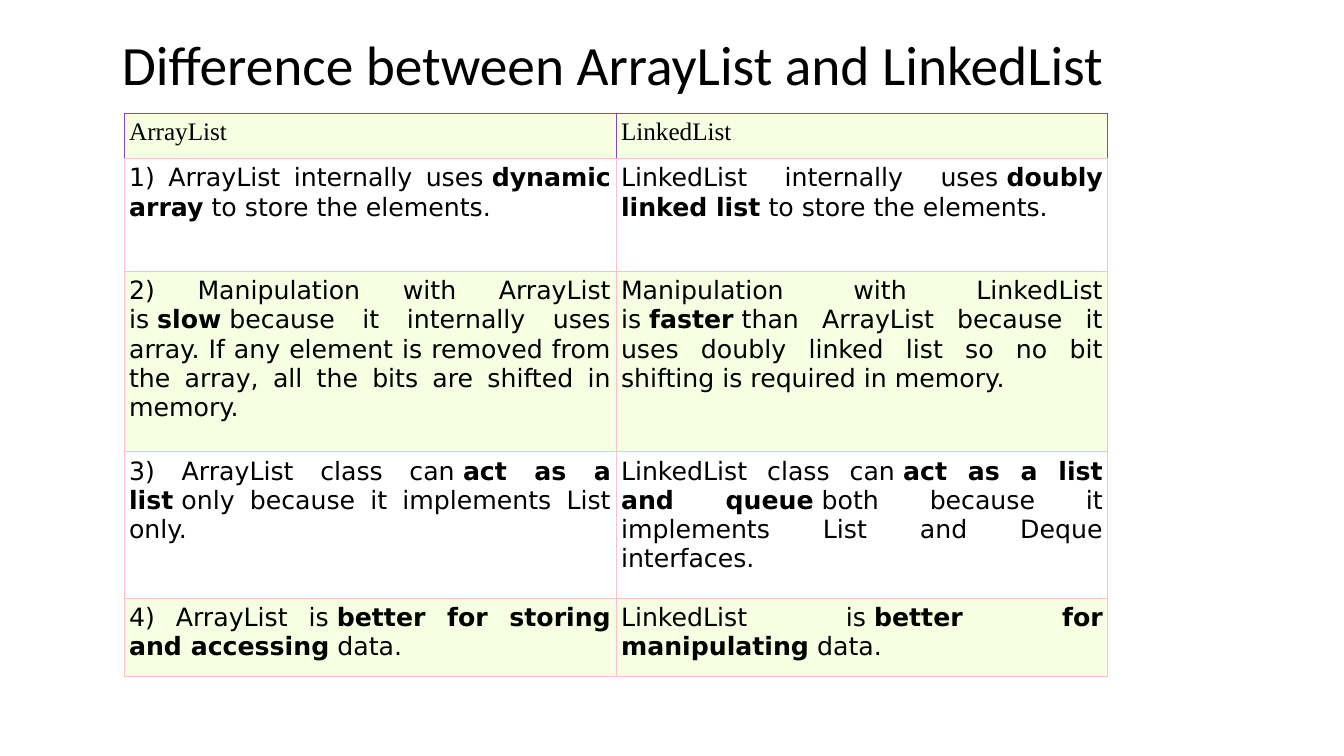
from lxml import etree
from pptx import Presentation
from pptx.dml import color
from pptx.enum import text
from pptx.oxml import ns
from pptx.util import Pt

BLACK, WHITE, GREEN = "000000", "FFFFFF", "F6FFE1"
PINK, PURPLE = "FFC0CB", "8847C5"
NBSP = chr(160)
COLUMN_WIDTH = 351.4
ROW_HEIGHTS = [32.4, 80.6, 128.9, 104.7, 56.2]
HEADINGS = ["ArrayList", "LinkedList"]
COMPARISONS = [
    [
        ("1) ArrayList internally uses", "dynamic array", "to store the elements."),
        ("LinkedList internally uses", "doubly linked list", "to store the elements."),
    ],
    [
        ("2) Manipulation with ArrayList is", "slow",
         "because it internally uses array. If any element is removed from "
         "the array, all the bits are shifted in memory."),
        ("Manipulation with LinkedList is", "faster",
         "than ArrayList because it uses doubly linked list so no bit "
         "shifting is required in memory."),
    ],
    [
        ("3) ArrayList class can", "act as a list",
         "only because it implements List only."),
        ("LinkedList class can", "act as a list and queue",
         "both because it implements List and Deque interfaces."),
    ],
    [
        ("4) ArrayList is", "better for storing and accessing", "data."),
        ("LinkedList is", "better for manipulating", "data."),
    ],
]


def rgb(value):
    return color.RGBColor.from_string(value)


def add_span(para, words, font="DejaVu Sans", size=18, bold=False):
    span = para.add_run()
    span.text = words
    span.font.name = font
    span.font.size = Pt(size)
    span.font.bold = bold
    span.font.color.rgb = rgb(BLACK)


def add_title(page, words):
    box = page.shapes.add_textbox(Pt(80), Pt(21.6), Pt(848), Pt(90))
    frame = box.text_frame
    frame.word_wrap = True
    frame.margin_top = 0
    frame.vertical_anchor = text.MSO_ANCHOR.TOP
    add_span(frame.paragraphs[0], words, font="Calibri", size=39.6)


def set_borders(cell, **sides):
    properties = cell._tc.get_or_add_tcPr()
    for position, side in enumerate("LRTB"):
        line = etree.Element(ns.qn(f"a:ln{side}"), w=str(Pt(0.75)))
        fill = etree.SubElement(line, ns.qn("a:solidFill"))
        etree.SubElement(fill, ns.qn("a:srgbClr"), val=sides.get(side, PINK))
        properties.insert(position, line)


def style_cell(cell, fill, **sides):
    cell.margin_left = cell.margin_right = Pt(3.6)
    cell.margin_top = cell.margin_bottom = Pt(3.6)
    cell.fill.solid()
    cell.fill.fore_color.rgb = rgb(fill)
    set_borders(cell, **sides)


def fill_heading(cell, words):
    style_cell(cell, GREEN, L=PURPLE, R=PURPLE, T=PURPLE)
    add_span(cell.text_frame.paragraphs[0], words, font="Times New Roman")


def fill_comparison(cell, parts, fill):
    style_cell(cell, fill)
    para = cell.text_frame.paragraphs[0]
    para.alignment = text.PP_ALIGN.JUSTIFY
    lead, strong, tail = parts
    add_span(para, lead + NBSP)
    add_span(para, strong, bold=True)
    add_span(para, NBSP + tail)


def add_comparison_table(page):
    frame = page.shapes.add_table(
        len(ROW_HEIGHTS), len(HEADINGS), Pt(88.6), Pt(80.8),
        Pt(COLUMN_WIDTH * len(HEADINGS)), Pt(sum(ROW_HEIGHTS)))
    table = frame.table
    table.first_row = table.horz_banding = False
    for column in table.columns:
        column.width = Pt(COLUMN_WIDTH)
    for row, height in zip(table.rows, ROW_HEIGHTS):
        row.height = Pt(height)
    for column, words in enumerate(HEADINGS):
        fill_heading(table.cell(0, column), words)
    for row, comparison in enumerate(COMPARISONS, start=1):
        for column, parts in enumerate(comparison):
            fill_comparison(table.cell(row, column), parts, WHITE if row % 2 else GREEN)


def main():
    deck = Presentation()
    deck.slide_width, deck.slide_height = Pt(960), Pt(540)
    page = deck.slides.add_slide(deck.slide_layouts[6])
    add_title(page, "Difference between ArrayList and LinkedList")
    add_comparison_table(page)
    deck.save("out.pptx")


if __name__ == "__main__":
    main()
